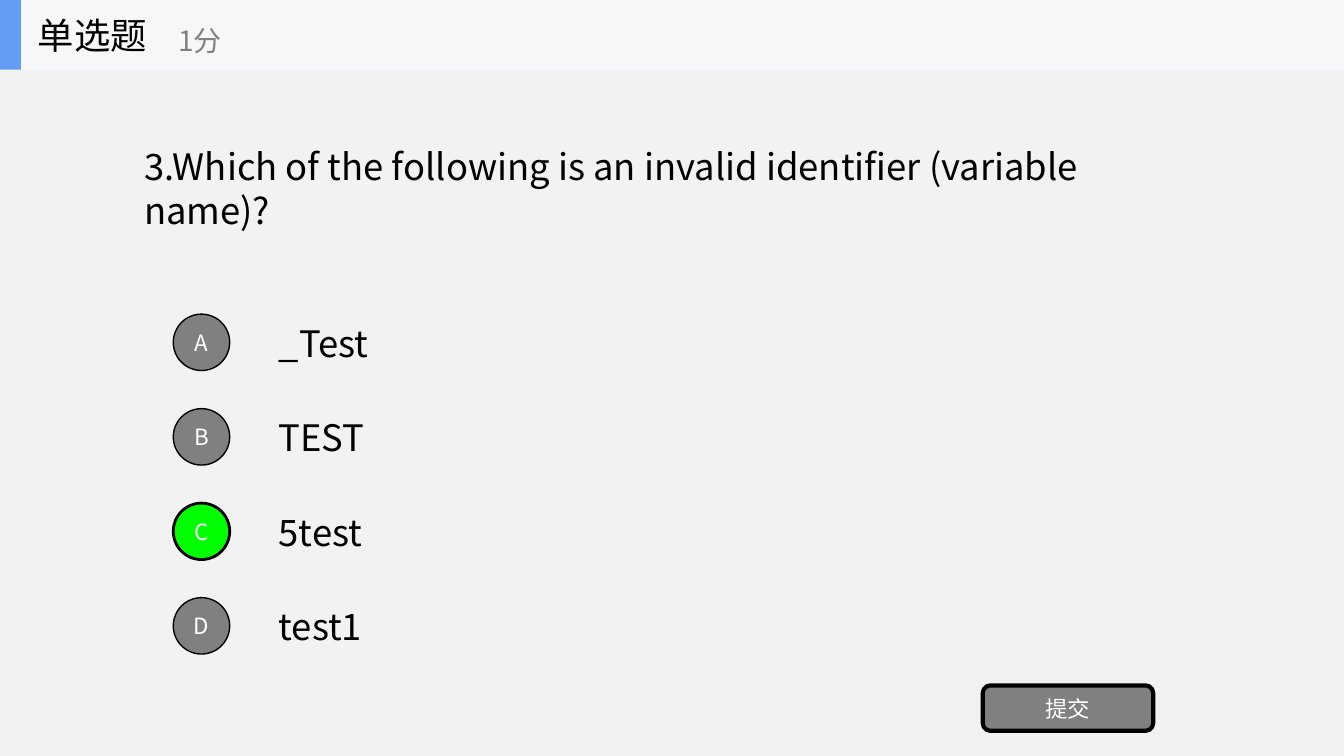
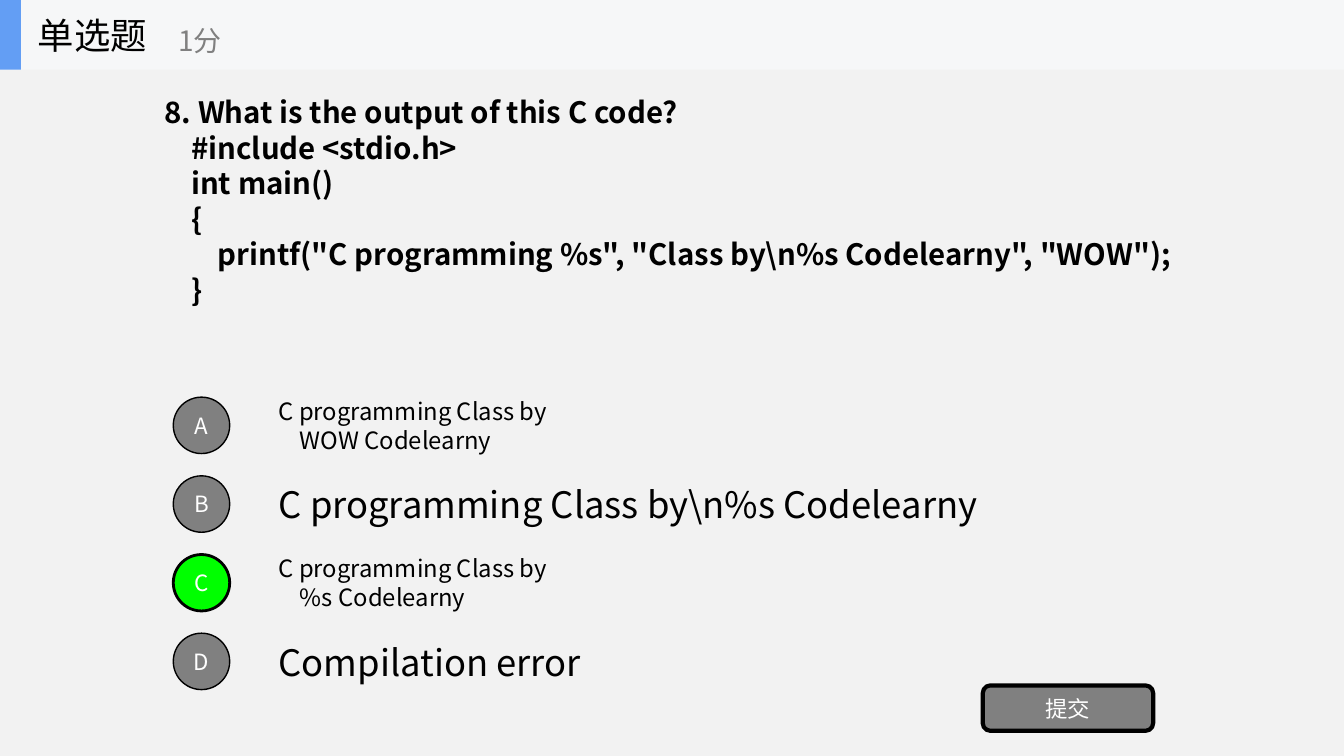
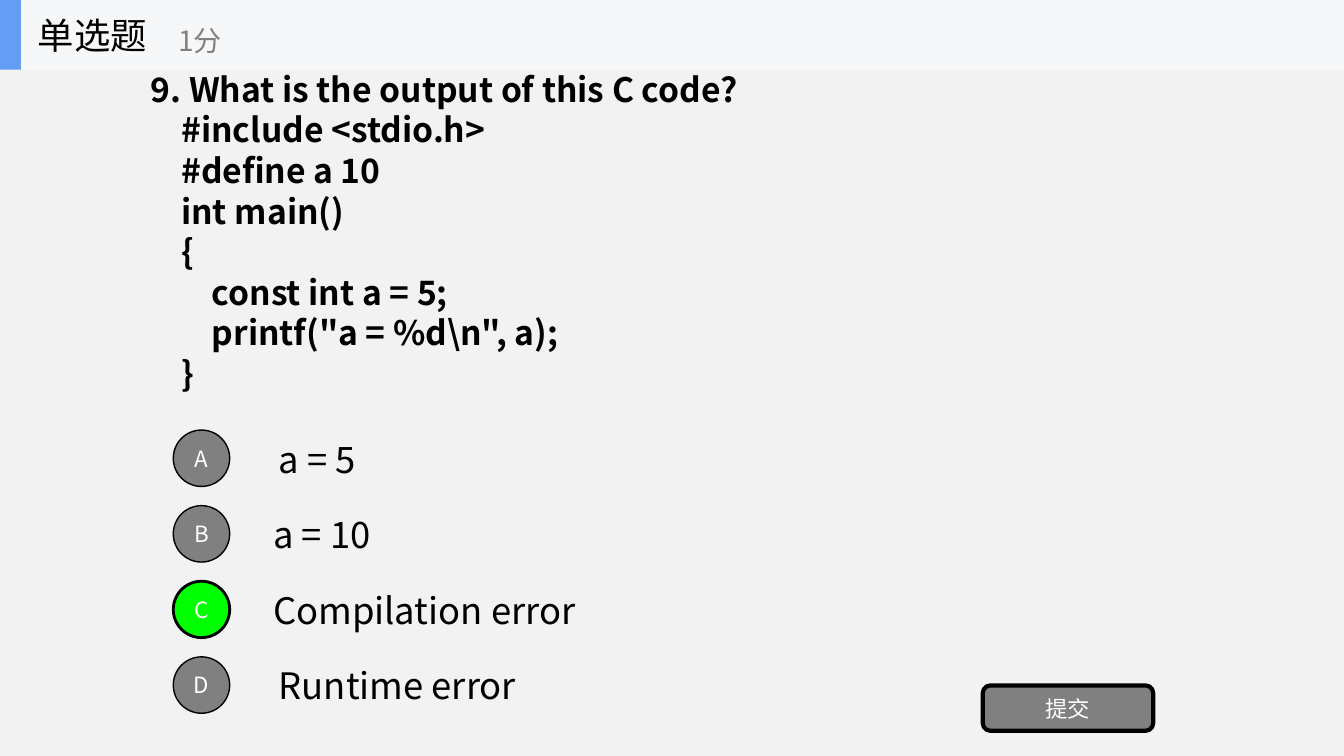
import dataclasses
import typing

import pptx
import pptx.dml.color
import pptx.enum.shapes
import pptx.enum.text
import pptx.oxml.ns
import pptx.util
from lxml import etree

Pt = pptx.util.Pt
Shape = pptx.enum.shapes.MSO_SHAPE
Align = pptx.enum.text.PP_ALIGN


@dataclasses.dataclass(frozen=True)
class Theme:
    font: str = "Noto Sans CJK SC"
    page: str = "F2F2F2"
    band: str = "F6F7F8"
    accent: str = "639EF4"
    ink: str = "000000"
    muted: str = "808080"
    correct: str = "00FF00"
    light: str = "FFFFFF"
    body_size: float = 26
    score_size: float = 20
    badge_size: float = 16
    output_size: float = 17
    line_factor: float = 1.21


@dataclasses.dataclass(frozen=True)
class Frame:
    left: float
    top: float
    width: float
    height: float

    def lengths(self) -> list[pptx.util.Length]:
        return [Pt(value) for value in dataclasses.astuple(self)]


THEME = Theme()
PAGE_WIDTH, PAGE_HEIGHT = 960, 540
BAND_HEIGHT = 49.7
BADGE_LEFT, BADGE_SIDE = 123.8, 40.3
OPTION_WIDTH = 560


@dataclasses.dataclass(frozen=True)
class Option:
    text: str
    left: float = 192
    size: float = THEME.body_size


@dataclasses.dataclass(frozen=True)
class Question:
    text: str
    frame: Frame
    size: float
    bold: bool
    first_top: float
    pitch: float
    options: tuple[Option, ...]
    answer: int = 2


QUESTIONS = (
    Question(
        "3.Which of the following is an invalid identifier (variable name)?",
        Frame(95.8, 99.4, 712, 69.8), 26, False, 224.4, 67.5,
        (Option("_Test"), Option("TEST"), Option("5test"), Option("test1")),
    ),
    Question(
        r'''8. What is the output of this C code?
    #include <stdio.h>
    int main()
    {
        printf("C programming %s", "Class by\n%s Codelearny", "WOW");
    }''',
        Frame(110.4, 63.4, 807, 160), 21, True, 283.7, 56.2,
        (
            Option("C programming Class by\n    WOW Codelearny", size=THEME.output_size),
            Option(r"C programming Class by\n%s Codelearny"),
            Option("C programming Class by\n    %s Codelearny", size=THEME.output_size),
            Option("Compilation error"),
        ),
    ),
    Question(
        r'''9. What is the output of this C code?
    #include <stdio.h>
    #define a 10
    int main()
    {
        const int a = 5;
        printf("a = %d\n", a);
    }''',
        Frame(100.6, 44.8, 737, 240), 24, True, 307.2, 54,
        (
            Option("a = 5"),
            Option("a = 10", left=188),
            Option("Compilation error", left=188),
            Option("Runtime error"),
        ),
    ),
)


def rgb(value: str) -> pptx.dml.color.RGBColor:
    return pptx.dml.color.RGBColor.from_string(value)


def write_text(box: typing.Any, text: str, *, size: float, color: str = THEME.ink,
               bold: bool = False, align: Align = Align.LEFT, wrap: bool = True,
               tight: bool = False) -> None:
    """Fill a box with one paragraph per line of text."""
    frame = box.text_frame
    frame.word_wrap = wrap
    frame.auto_size = pptx.enum.text.MSO_AUTO_SIZE.NONE
    frame.vertical_anchor = pptx.enum.text.MSO_ANCHOR.MIDDLE
    if tight:
        frame.margin_left = frame.margin_right = 0
        frame.margin_top = frame.margin_bottom = 0
    for index, line in enumerate(text.split("\n")):
        para = frame.add_paragraph() if index else frame.paragraphs[0]
        para.alignment = align
        if not tight and wrap:
            para.line_spacing = Pt(round(size * THEME.line_factor, 1))
        span = para.add_run()
        span.text = line
        span.font.name = THEME.font
        span.font.size = Pt(size)
        span.font.bold = bold
        span.font.color.rgb = rgb(color)
        east_asian = etree.SubElement(span.font._element, pptx.oxml.ns.qn("a:ea"))
        east_asian.set("typeface", THEME.font)


def add_label(shapes: typing.Any, frame: Frame, text: str, **style: typing.Any) -> None:
    write_text(shapes.add_textbox(*frame.lengths()), text, **style)


def add_block(shapes: typing.Any, kind: Shape, frame: Frame, fill: str,
              line_width: float = 0, text: str = "") -> None:
    """Draw a filled shape, outlined and captioned when asked."""
    block = shapes.add_shape(kind, *frame.lengths())
    block.shadow.inherit = False
    block.fill.solid()
    block.fill.fore_color.rgb = rgb(fill)
    if line_width:
        block.line.color.rgb = rgb(THEME.ink)
        block.line.width = Pt(line_width)
    else:
        block.line.fill.background()
    if text:
        write_text(block, text, size=THEME.badge_size, color=THEME.light,
                   align=Align.CENTER, wrap=False, tight=True)


def add_header(page: typing.Any) -> None:
    shapes = page.shapes.add_group_shape().shapes
    add_block(shapes, Shape.RECTANGLE, Frame(0, 0, PAGE_WIDTH, BAND_HEIGHT), THEME.band)
    add_block(shapes, Shape.RECTANGLE, Frame(0, 0, 15, BAND_HEIGHT), THEME.accent)
    add_label(shapes, Frame(20, 0, 150, BAND_HEIGHT), "单选题",
              size=THEME.body_size, wrap=False)
    add_label(shapes, Frame(120.4, 8.6, 180, 40.3), "1分",
              size=THEME.score_size, color=THEME.muted, wrap=False)


def add_options(page: typing.Any, question: Question) -> None:
    for index, option in enumerate(question.options):
        top = question.first_top + index * question.pitch
        correct = index == question.answer
        add_label(page.shapes, Frame(option.left, top, OPTION_WIDTH, BADGE_SIDE),
                  option.text, size=option.size)
        add_block(page.shapes, Shape.OVAL, Frame(BADGE_LEFT, top, BADGE_SIDE, BADGE_SIDE),
                  THEME.correct if correct else THEME.muted,
                  line_width=2 if correct else 1, text="ABCD"[index])


def add_question(deck: typing.Any, question: Question) -> None:
    page = deck.slides.add_slide(deck.slide_layouts[6])
    add_label(page.shapes, question.frame, question.text,
              size=question.size, bold=question.bold)
    add_options(page, question)
    # Submit button
    add_block(page.shapes, Shape.ROUNDED_RECTANGLE, Frame(702, 489.6, 121.7, 32.4),
              THEME.muted, line_width=3, text="提交")
    add_header(page)


def main() -> None:
    deck = pptx.Presentation()
    deck.slide_width, deck.slide_height = Pt(PAGE_WIDTH), Pt(PAGE_HEIGHT)
    # Shared page colour
    background = deck.slide_master.background.fill
    background.solid()
    background.fore_color.rgb = rgb(THEME.page)
    for question in QUESTIONS:
        add_question(deck, question)
    deck.save("out.pptx")


if __name__ == "__main__":
    main()
